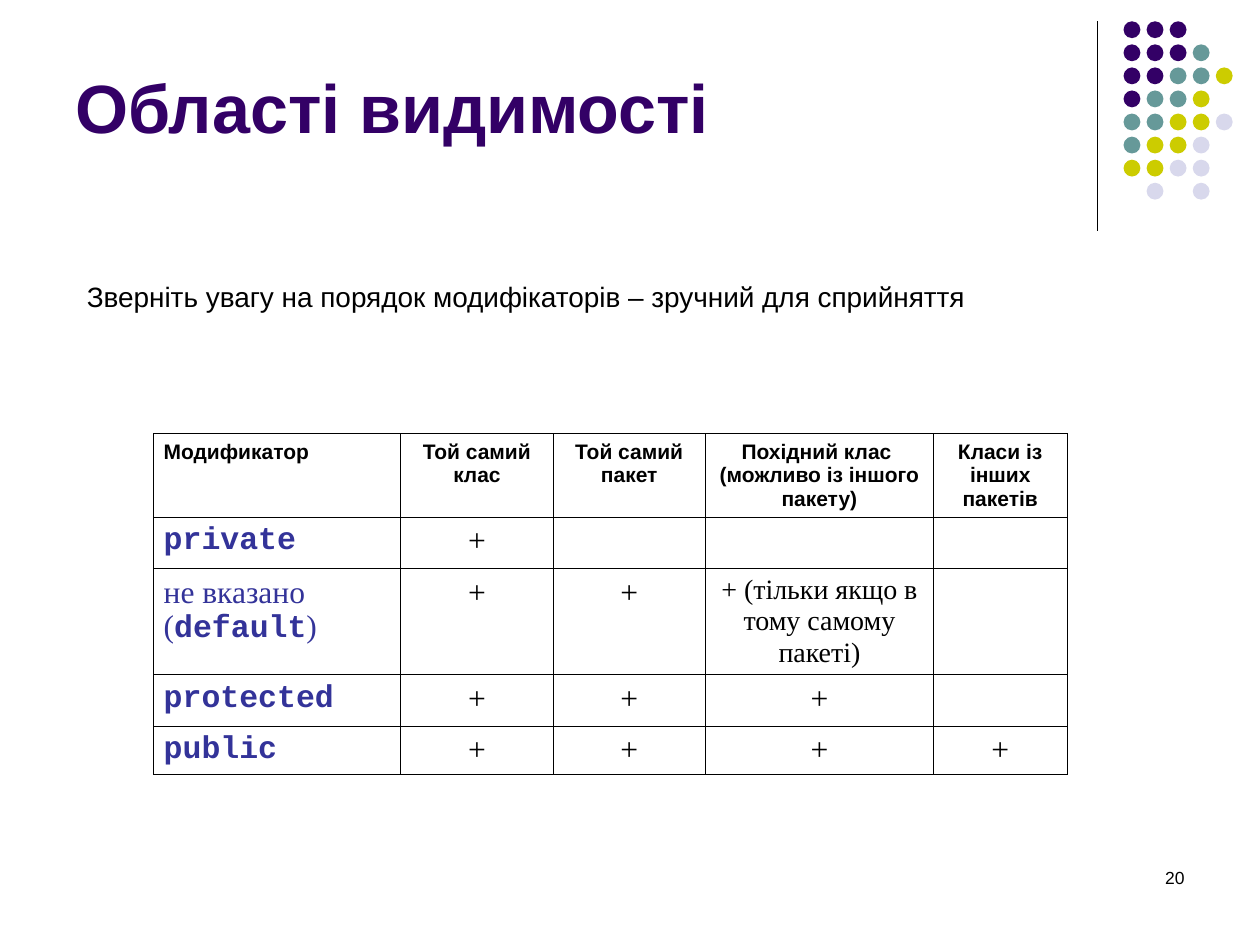
from lxml.etree import SubElement
from pptx import Presentation
from pptx.dml.color import RGBColor as Rgb
from pptx.enum.shapes import MSO_CONNECTOR as Connector, MSO_SHAPE as Preset
from pptx.enum.text import MSO_ANCHOR as Anchor, PP_ALIGN as Align
from pptx.oxml import parse_xml
from pptx.oxml.ns import nsdecls, qn
from pptx.util import Cm, Pt

COLORS = {
    "black": "000000", "violet": "330066", "teal": "669999",
    "olive": "CCCC00", "lavender": "D8D8EC", "indigo": "333399",
}
FORMATS = {
    "title": {"name": "Arial", "size": 39, "bold": True, "color": "violet"},
    "note": {"name": "Arial", "size": 16, "bold": False, "color": "black"},
    "number": {"name": "Arial", "size": 10, "bold": False, "color": "black"},
    "header": {"name": "Arial", "size": 12, "bold": True, "color": "black"},
    "code": {"name": "Courier New", "size": 18, "bold": True, "color": "indigo"},
    "label": {"name": "Times New Roman", "size": 18, "bold": False, "color": "indigo"},
    "mark": {"name": "Times New Roman", "size": 18, "bold": False, "color": "black"},
    "remark": {"name": "Times New Roman", "size": 16, "bold": False, "color": "black"},
}
TEXT_BOXES = [
    ("Області видимості", "title", (1.27, 0.33, 20.96, 3.61), Align.LEFT, Anchor.MIDDLE),
    ("20", "number", (18.21, 17.35, 5.92, 1.27), Align.RIGHT, Anchor.TOP),
    ("Зверніть увагу на порядок модифікаторів – зручний для сприйняття", "note",
     (1.5, 5.51, 20.6, 0.94), Align.LEFT, Anchor.MIDDLE),
]

PLUS = [[("+", "mark")]]
HEADERS = [
    ["Модификатор"], ["Той самий клас"], ["Той самий пакет"],
    ["Похідний клас ", "(можливо із іншого пакету)"], ["Класи із інших пакетів"],
]
ROWS = [
    [[[(line, "header")] for line in lines] for lines in HEADERS],
    [[[("private", "code")]], PLUS, [], [], []],
    [[[("не вказано (", "label"), ("default", "code"), (")", "label")]], PLUS, PLUS,
     [[("+ (тільки якщо в тому самому пакеті)", "remark")]], []],
    [[[("protected", "code")]], PLUS, PLUS, PLUS, []],
    [[[("public", "code")]], PLUS, PLUS, PLUS, PLUS],
]
TABLE_LEFT, TABLE_TOP = 3.1, 8.74
COLUMN_WIDTHS = [4.98, 3.07, 3.07, 4.6, 2.69]
ROW_HEIGHTS = [1.6, 0.95, 2.03, 0.95, 0.95]
CELL_MARGINS = {"margin_left": 0.2, "margin_right": 0.2,
                "margin_top": 0.13, "margin_bottom": 0.13}

DOT_ROWS = ["VVV", "VVVT", "VVTTO", "VTTO", "TTOOL", "TOOL", "OOLL", " L L"]
DOT_COLORS = {"V": "violet", "T": "teal", "O": "olive", "L": "lavender"}
DOT_LEFT, DOT_TOP, DOT_STEP, DOT_SIZE = 22.65, 0.43, 0.465, 0.34


def rgb(color):
    return Rgb.from_string(COLORS[color])


def add_span(para, text, kind):
    span = para.add_run()
    span.text = text
    values = dict(FORMATS[kind])
    span.font.color.rgb = rgb(values.pop("color"))
    values["size"] = Pt(values["size"])
    for key, value in values.items():
        setattr(span.font, key, value)


def add_text(page, text, kind, place, align, anchor):
    frame = page.shapes.add_textbox(*map(Cm, place)).text_frame
    frame.word_wrap = True
    frame.vertical_anchor = anchor
    para = frame.paragraphs[0]
    para.alignment = align
    add_span(para, text, kind)


def add_divider(page):
    line = page.shapes.add_connector(
        Connector.STRAIGHT, Cm(22.12), Cm(0.43), Cm(22.12), Cm(4.65))
    line.line.color.rgb = rgb("black")
    line.line.width = Pt(0.75)
    SubElement(line._element.spPr, qn("a:effectLst"))


def add_dots(page):
    group = page.shapes.add_group_shape()
    for row, letters in enumerate(DOT_ROWS):
        for column, letter in enumerate(letters):
            if letter == " ":
                continue
            dot = group.shapes.add_shape(
                Preset.OVAL, Cm(DOT_LEFT + column * DOT_STEP),
                Cm(DOT_TOP + row * DOT_STEP), Cm(DOT_SIZE), Cm(DOT_SIZE))
            dot.shadow.inherit = False
            dot.fill.solid()
            dot.fill.fore_color.rgb = rgb(DOT_COLORS[letter])
            dot.line.fill.background()


def add_borders(cell):
    properties = cell._tc.get_or_add_tcPr()
    for index, side in enumerate(["lnL", "lnR", "lnT", "lnB"]):
        properties.insert(index, parse_xml(
            f'<a:{side} {nsdecls("a")} w="{Pt(0.45)}"><a:solidFill>'
            f'<a:srgbClr val="{COLORS["black"]}"/></a:solidFill></a:{side}>'))


def fill_cell(cell, lines, align):
    for key, value in CELL_MARGINS.items():
        setattr(cell, key, Cm(value))
    cell.fill.background()
    add_borders(cell)
    frame = cell.text_frame
    for index, spans in enumerate(lines):
        para = frame.add_paragraph() if index else frame.paragraphs[0]
        para.alignment = align
        for text, kind in spans:
            add_span(para, text, kind)


def add_access_table(page):
    table = page.shapes.add_table(
        len(ROWS), len(COLUMN_WIDTHS), Cm(TABLE_LEFT), Cm(TABLE_TOP),
        Cm(sum(COLUMN_WIDTHS)), Cm(sum(ROW_HEIGHTS))).table
    table.first_row = table.horz_banding = False
    for column, width in zip(table.columns, COLUMN_WIDTHS):
        column.width = Cm(width)
    for row, height, contents in zip(table.rows, ROW_HEIGHTS, ROWS):
        row.height = Cm(height)
        for index, (cell, lines) in enumerate(zip(row.cells, contents)):
            fill_cell(cell, lines, Align.CENTER if index else Align.LEFT)


def main():
    deck = Presentation()
    deck.slide_width, deck.slide_height = Cm(25.4), Cm(19.05)
    page = deck.slides.add_slide(deck.slide_layouts[6])
    add_divider(page)
    add_dots(page)
    add_access_table(page)
    for box in TEXT_BOXES:
        add_text(page, *box)
    deck.save("out.pptx")


if __name__ == "__main__":
    main()
